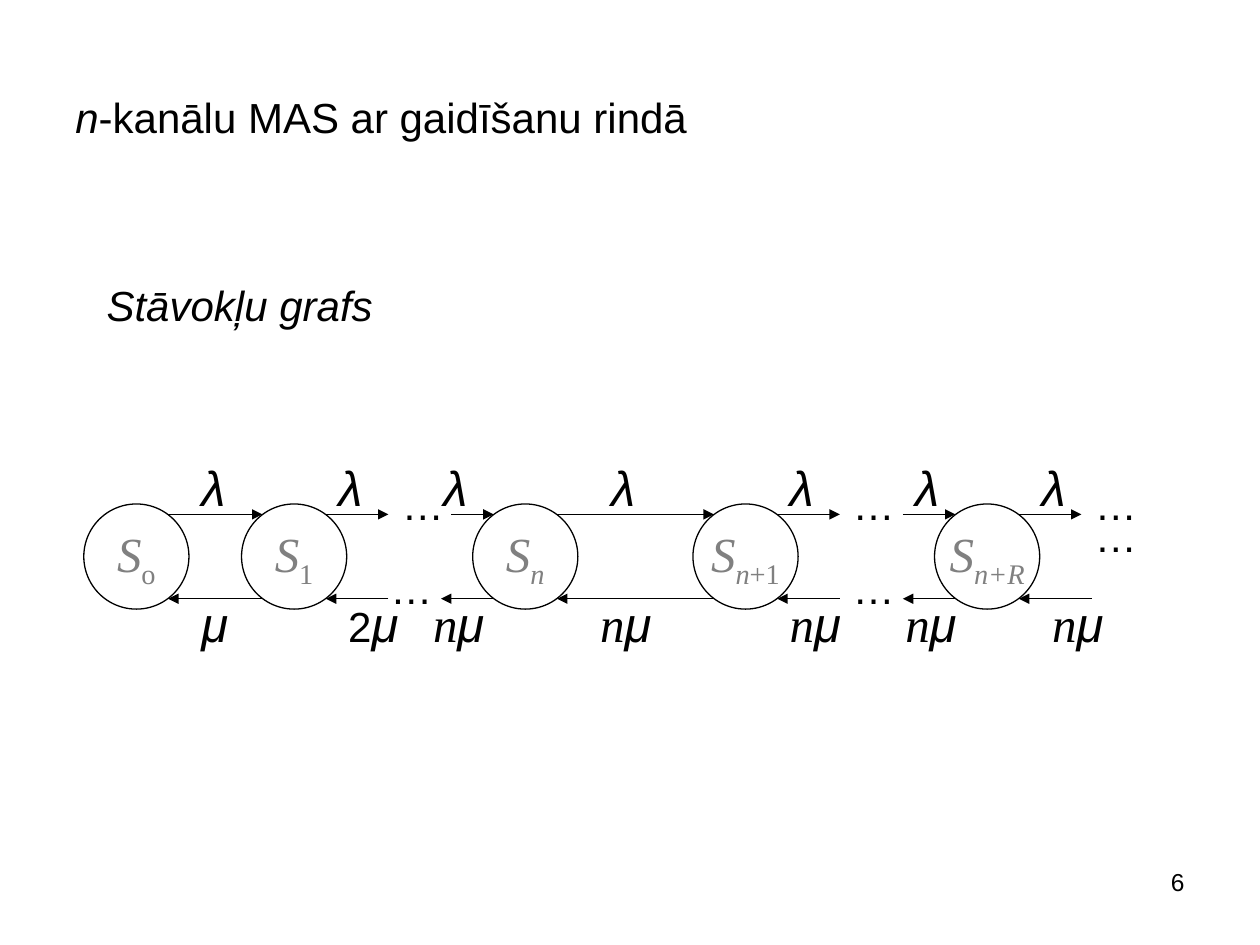
import pptx
import pptx.util
import pptx.dml.color
import pptx.enum.shapes
import pptx.enum.text
import pptx.oxml.ns
import lxml.etree

Cm, Pt = pptx.util.Cm, pptx.util.Pt
ALIGN = pptx.enum.text.PP_ALIGN
ANCHOR = pptx.enum.text.MSO_ANCHOR
FIT = pptx.enum.text.MSO_AUTO_SIZE
COLORS = {"ink": "000000", "state": "808080", "paper": "FFFFFF"}
SERIF = "Times New Roman"

DIAMETER = 2.12
STATE_TOP = 10.16
INSET = 0.42  # from a circle's side to the point where an arrow touches it
FORWARD_Y, BACK_Y = 10.37, 12.07


def rgb(name):
    return pptx.dml.color.RGBColor.from_string(COLORS[name])


def write(tf, runs, size=24, font="Arial", color="ink", italic=False,
          align=ALIGN.LEFT, anchor=ANCHOR.TOP, wrap=False):
    """Fill a frame with one paragraph; a run is (text, its own overrides)."""
    tf.word_wrap = wrap
    tf.vertical_anchor = anchor
    p = tf.paragraphs[0]
    p.alignment = align
    for text, own in runs:
        r = p.add_run()
        r.text = text
        r.font.size = Pt(own.get("size", size))
        r.font.name = own.get("font", font)
        r.font.italic = own.get("italic", italic)
        r.font.color.rgb = rgb(color)
        if own.get("sub"):
            r._r.get_or_add_rPr().set("baseline", "-25000")


class Deck:
    """Line style and the current slide."""

    line_width = Pt(0.75)

    def __init__(self, slide):
        self.shapes = slide.shapes

    def text(self, x, y, w, h, *runs, fit=True, **fmt):
        s = self.shapes.add_textbox(Cm(x), Cm(y), Cm(w), Cm(h))
        write(s.text_frame, runs, **fmt)
        s.text_frame.auto_size = FIT.SHAPE_TO_FIT_TEXT if fit else FIT.NONE

    def state(self, x, *index):
        s = self.shapes.add_shape(pptx.enum.shapes.MSO_SHAPE.OVAL,
                                  Cm(x), Cm(STATE_TOP), Cm(DIAMETER), Cm(DIAMETER))
        s.shadow.inherit = False
        s.fill.solid()
        s.fill.fore_color.rgb = rgb("paper")
        s.line.color.rgb = rgb("ink")
        s.line.width = self.line_width
        write(s.text_frame, [("S", {}), *index], size=28, font=SERIF, color="state",
              italic=True, align=ALIGN.CENTER, anchor=ANCHOR.MIDDLE)

    def arrow(self, x1, x2, y):
        c = self.shapes.add_connector(pptx.enum.shapes.MSO_CONNECTOR.STRAIGHT,
                                      Cm(x1), Cm(y), Cm(x2), Cm(y))
        c.line.color.rgb = rgb("ink")
        c.line.width = self.line_width
        qn = pptx.oxml.ns.qn
        lxml.etree.SubElement(c.line._get_or_add_ln(), qn("a:tailEnd"), type="triangle")
        lxml.etree.SubElement(c._element.spPr, qn("a:effectLst"))


def main():
    prs = pptx.Presentation()
    prs.slide_width, prs.slide_height = Cm(25.4), Cm(19.05)
    deck = Deck(prs.slides.add_slide(prs.slide_layouts[6]))

    deck.text(1.27, 0.76, 22.86, 3.18, ("n", {"italic": True}),
              ("-kanālu MAS ar gaidīšanu rindā", {}),
              anchor=ANCHOR.MIDDLE, wrap=True, fit=False)
    deck.text(1.9, 5.5, 5.87, 1.27, ("Stāvokļu grafs", {}), italic=True)

    sub = {"sub": True}
    upright = {"sub": True, "italic": False}
    states = [
        (1.69, [("o", upright)]),
        (4.87, [("1", upright)]),
        (9.53, [("n", sub)]),
        (13.97, [("n", sub), ("+1", upright)]),
        (18.84, [("n+R", sub)]),
    ]
    for x, index in states:
        deck.state(x, *index)

    entry = [x + INSET for x, _ in states]
    leave = [x + DIAMETER - INSET for x, _ in states]
    forward_gaps = [(7.83, 9.1), (16.93, 18.2), (21.8, None)]
    back_gaps = [(7.83, 8.89), (16.93, 18.2), (22.01, None)]
    for y, gaps in ((FORWARD_Y, forward_gaps), (BACK_Y, back_gaps)):
        (a, b), (c, d), (end, _) = gaps
        spans = [(leave[0], entry[1]), (leave[1], a), (b, entry[2]),
                 (leave[2], entry[3]), (leave[3], c), (d, entry[4]), (leave[4], end)]
        for left, right in spans:
            ends = (left, right) if y == FORWARD_Y else (right, left)
            deck.arrow(*ends, y)

    for x, y in [(7.85, 9.53), (7.62, 11.22), (16.94, 9.53),
                 (16.94, 11.22), (21.82, 9.53), (21.82, 10.16)]:
        deck.text(x, y, 1.35, 1.27, ("…", {}))

    for x in (3.81, 6.57, 8.69, 12.07, 15.67, 18.2, 20.75):
        deck.text(x, 9.1, 1.04, 1.45, ("λ", {}), size=28, italic=True)

    two = [("2", {"size": 24, "italic": False})]
    n = [("n", {"font": SERIF})]
    rates = [(3.81, 1.07, []), (6.77, 1.55, two)]
    rates += [(x, 1.57, n) for x in (8.48, 11.85, 15.67, 18, 20.96)]
    for x, w, factor in rates:
        deck.text(x, 11.85, w, 1.45, *factor, ("μ", {}), size=28, italic=True)

    deck.text(18.2, 17.36, 5.93, 1.32, ("6", {}), size=14,
              align=ALIGN.RIGHT, wrap=True, fit=False)
    prs.save("out.pptx")


if __name__ == "__main__":
    main()
